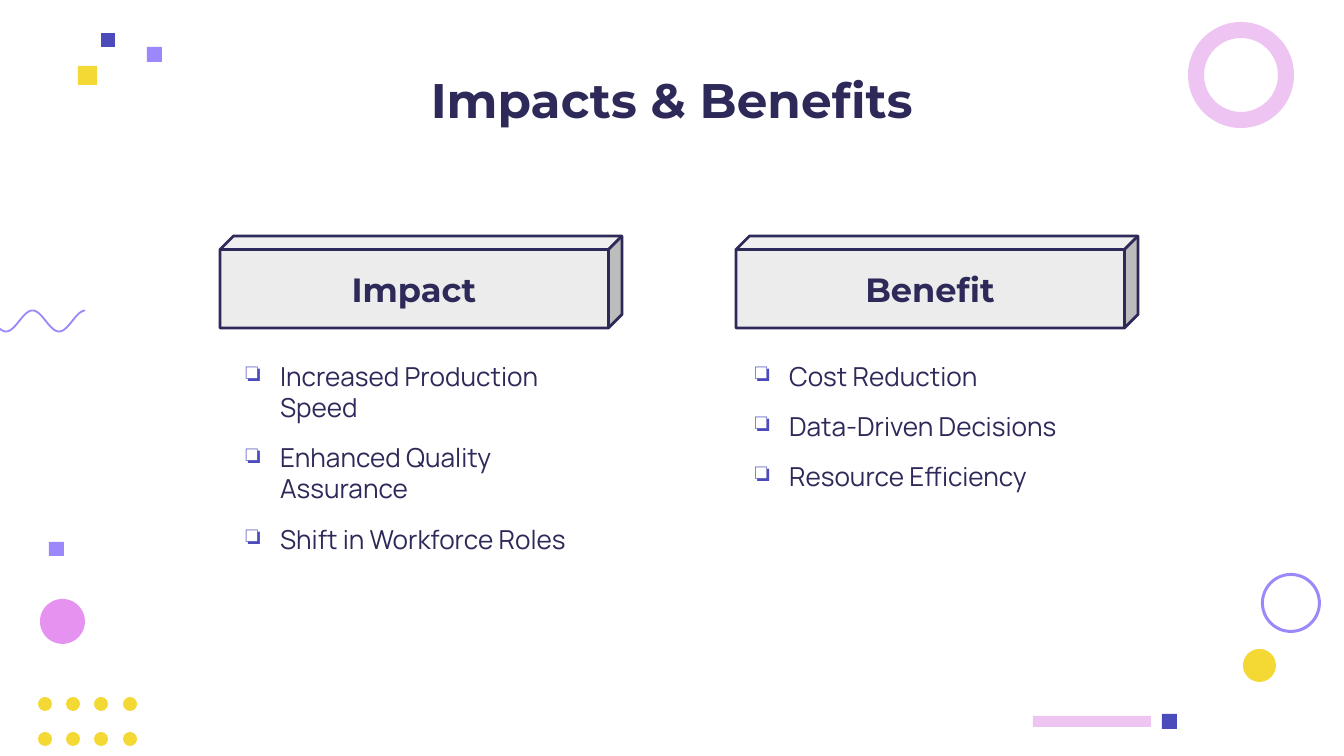
from math import cos, pi

from lxml.etree import SubElement
from pptx import Presentation
from pptx.dml.color import RGBColor
from pptx.enum.shapes import MSO_SHAPE as Shape
from pptx.enum.text import MSO_ANCHOR as Anchor, PP_ALIGN as Align
from pptx.oxml.ns import qn
from pptx.util import Emu, Pt

INK = {"navy": "2D2958", "indigo": "4B4BBB", "violet": "9C88FA", "yellow": "F4D834",
       "pink": "EDC4F2", "orchid": "E592F1", "grey": "ECECEC"}

TITLE = "Impacts & Benefits"
# heading, left edge, left inset of the list, items
CARDS = [
    ("Impact", 220, 20, ["Increased Production Speed", "Enhanced Quality Assurance",
                         "Shift in Workforce Roles"]),
    ("Benefit", 736, 13, ["Cost Reduction", "Data-Driven Decisions", "Resource Efficiency"]),
]
# shape, left, top, width, height, colour, ring thickness
DECOR = [
    (Shape.DONUT, 1188, 22, 106, 106, "pink", 16),
    (Shape.DONUT, 1261, 573, 60, 60, "violet", 3),
    (Shape.OVAL, 40, 599, 45, 45, "orchid", 0),
    (Shape.OVAL, 1243, 649, 33, 33, "yellow", 0),
    (Shape.RECTANGLE, 1033, 716, 118, 11, "pink", 0),
    (Shape.RECTANGLE, 1162, 714, 15, 15, "indigo", 0),
    (Shape.RECTANGLE, 78, 66, 19, 19, "yellow", 0),
    (Shape.RECTANGLE, 147, 47, 15, 15, "violet", 0),
    (Shape.RECTANGLE, 101, 33, 14, 14, "indigo", 0),
    (Shape.RECTANGLE, 49, 542, 15, 14, "violet", 0),
]
DOTS = [(38 + col * 85 // 3, 697 + row * 35) for row in range(2) for col in range(4)]
WAVE = {"left": -47, "right": 85, "mid": 321, "swing": 10.5, "period": 53}

HEAD = {"name": "Montserrat", "bold": True}
BODY = {"name": "Manrope", "size": Pt(14), "bold": False}


def px(n):
    return Emu(round(n * 914400 / 134.4))


def tint(name):
    return RGBColor.from_string(INK[name])


def paint(shape, fill=None, line=None, width=1.5):
    shape.shadow.inherit = False
    if fill:
        shape.fill.solid()
        shape.fill.fore_color.rgb = tint(fill)
    else:
        shape.fill.background()
    if line:
        shape.line.color.rgb = tint(line)
        shape.line.width = Pt(width)
    else:
        shape.line.fill.background()


def add(kind, x, y, w, h, fill, line=None):
    shape = slide.shapes.add_shape(kind, px(x), px(y), px(w), px(h))
    paint(shape, fill, line)
    return shape


def write(lines, box, font, align=Align.LEFT, anchor=Anchor.TOP, inset=13):
    """Add a text box with one paragraph per line and return the paragraphs."""
    frame = slide.shapes.add_textbox(*map(px, box)).text_frame
    frame.word_wrap = True
    frame.vertical_anchor = anchor
    frame.margin_left = px(inset)
    frame.margin_right = frame.margin_top = frame.margin_bottom = px(13)
    frame.text = "\n".join(lines)
    for para in frame.paragraphs:
        para.alignment = align
        face = para.runs[0].font
        face.color.rgb = tint("navy")
        for key, value in font.items():
            setattr(face, key, value)
    return frame.paragraphs


def bullet(para):
    props = para._p.get_or_add_pPr()
    props.set("marL", str(px(40)))
    props.set("indent", str(px(-34)))
    color = SubElement(props, qn("a:buClr"))
    SubElement(color, qn("a:srgbClr"), val=INK["indigo"])
    SubElement(props, qn("a:buChar"), char="❏")


def draw_wave():
    spots = [(px(x), px(WAVE["mid"] + WAVE["swing"]
                        * cos(2 * pi * (x - WAVE["left"]) / WAVE["period"])))
             for x in range(WAVE["left"], WAVE["right"] + 1)]
    pen = slide.shapes.build_freeform(*spots[0])
    pen.add_line_segments(spots[1:], close=False)
    paint(pen.convert_to_shape(), line="violet", width=1)


deck = Presentation()
deck.slide_width, deck.slide_height = px(1344), px(756)
slide = deck.slides.add_slide(deck.slide_layouts[6])

for x, y in DOTS:
    add(Shape.OVAL, x, y, 14, 14, "yellow")
draw_wave()
for kind, x, y, w, h, color, ring in DECOR:
    mark = add(kind, x, y, w, h, color)
    if ring:
        mark.adjustments[0] = ring / w

write([TITLE], (112, 57, 1120, 85), {**HEAD, "size": Pt(26)}, Align.CENTER, Anchor.MIDDLE)
for head, x, inset, items in CARDS:
    add(Shape.CUBE, x, 236, 402, 92, "grey", "navy").adjustments[0] = 0.147
    write([head], (x, 250, 388, 78), {**HEAD, "size": Pt(18)}, Align.CENTER, Anchor.MIDDLE)
    paras = write(items, (x, 347, 388, 255), BODY, inset=inset)
    for i, para in enumerate(paras):
        para.space_before = Pt(10 if i else 0)
        bullet(para)
    paras[-1].space_after = Pt(10)

deck.save("out.pptx")
